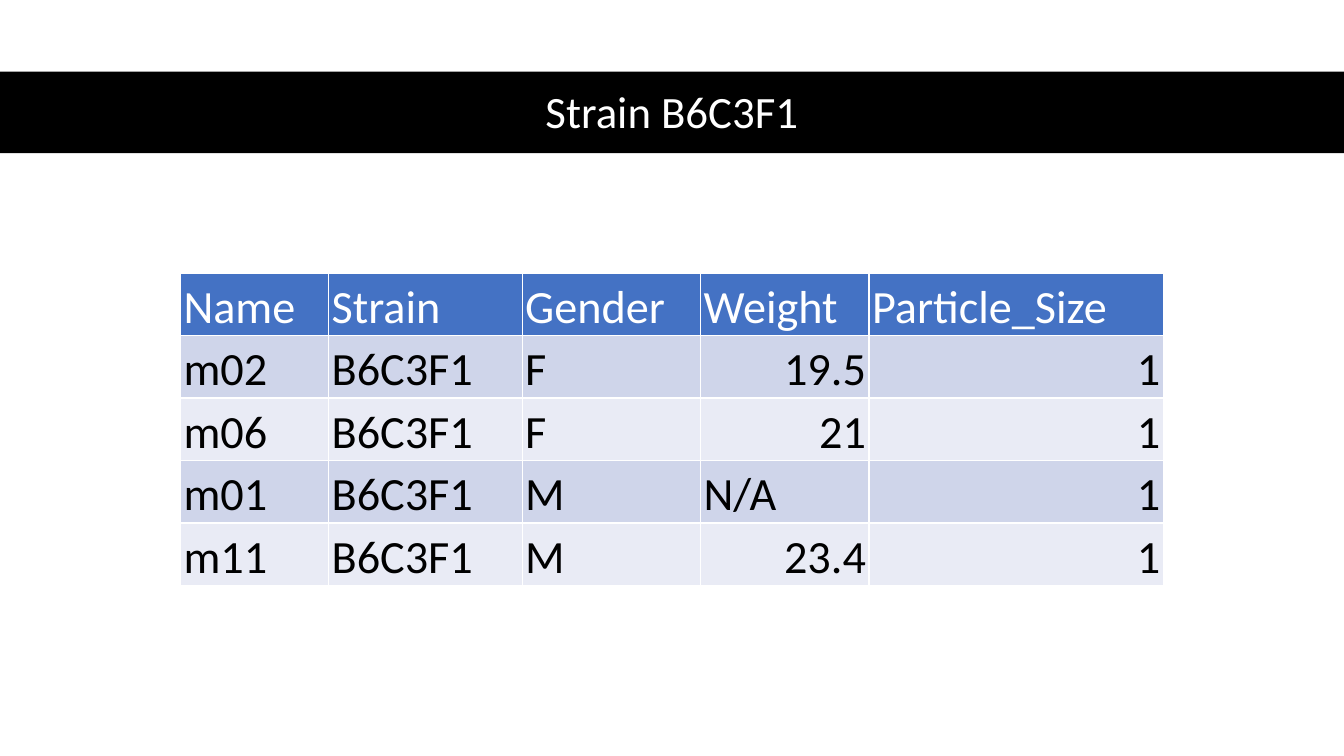
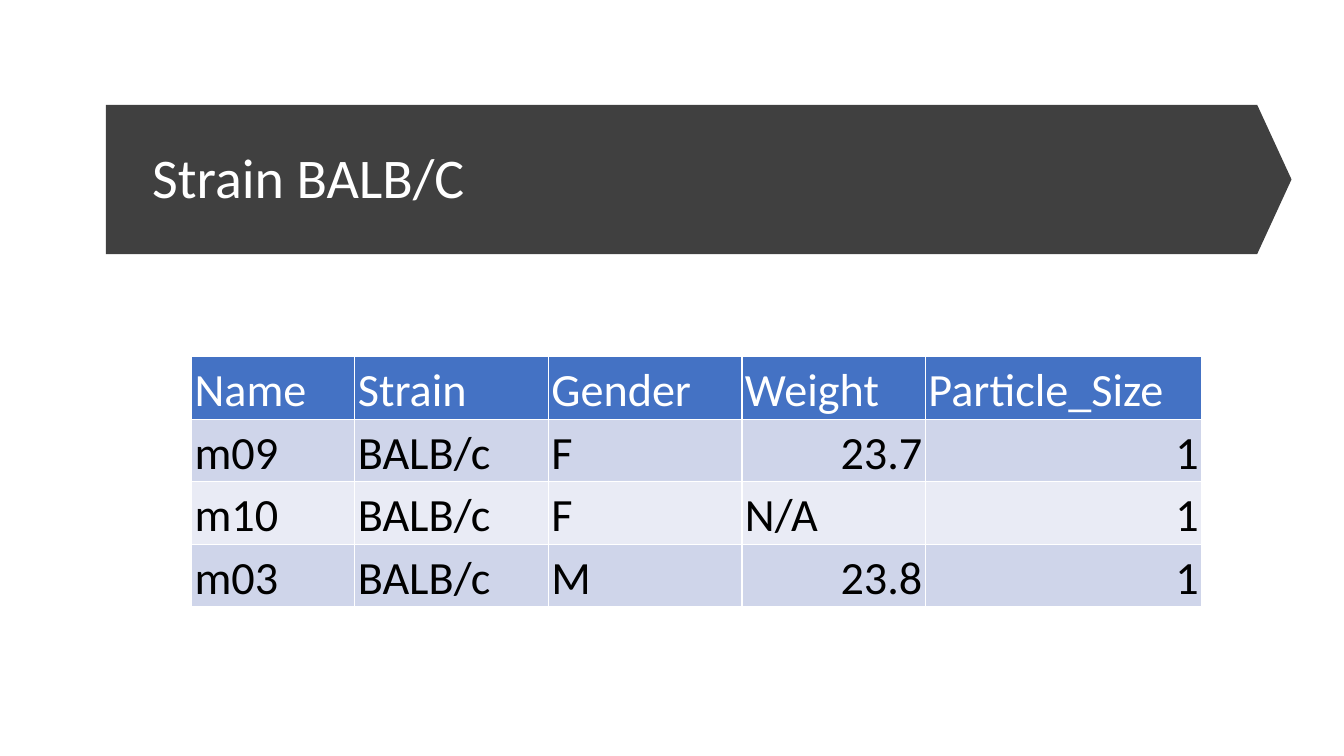
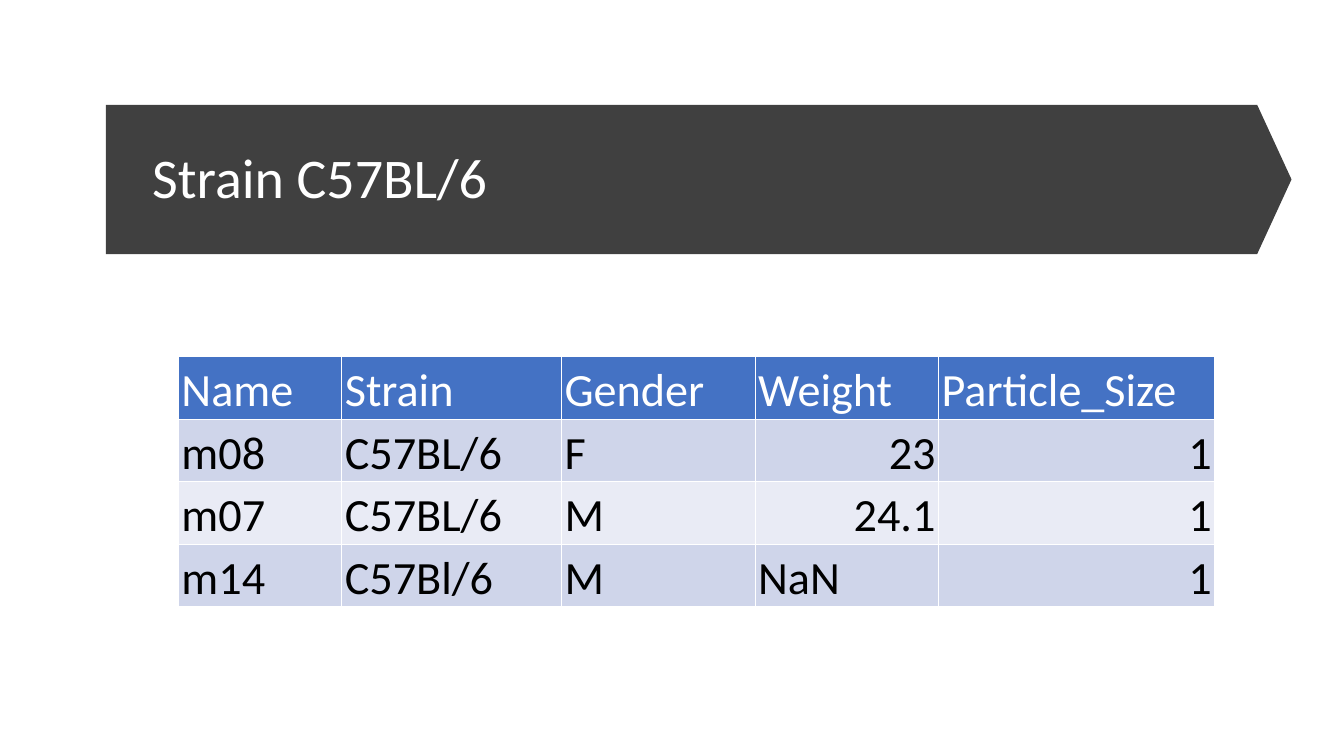
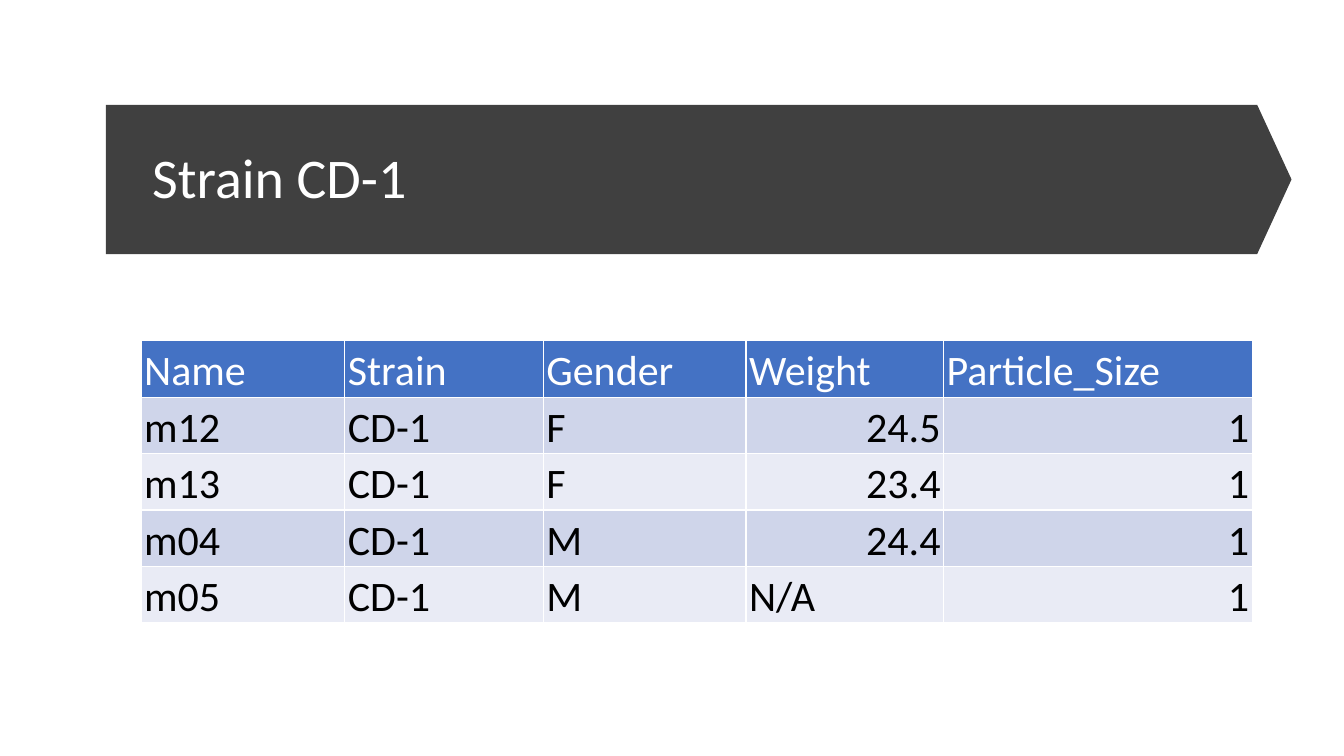
from pptx import Presentation
from pptx.dml.color import RGBColor
from pptx.enum.shapes import MSO_SHAPE
from pptx.enum.text import MSO_ANCHOR, MSO_AUTO_SIZE, PP_ALIGN
from pptx.util import Inches, Pt

WHITE = RGBColor(0xFF, 0xFF, 0xFF)
BLACK = RGBColor(0, 0, 0)
GREY = RGBColor(0x40, 0x40, 0x40)
BLUE = RGBColor(0x44, 0x72, 0xC4)
DARK = RGBColor(0xCF, 0xD5, 0xEA)
LIGHT = RGBColor(0xE9, 0xEB, 0xF5)
FONT = "Calibri"
WIDTH = 13.33
HEAD = ["Name", "Strain", "Gender", "Weight", "Particle_Size"]


def style(para, size, color, align):
    para.alignment = align
    font = para.runs[0].font
    font.name = FONT
    font.size = Pt(size)
    font.bold = False
    font.color.rgb = color


def place(shape, box):
    shape.left, shape.top, shape.width, shape.height = map(Inches, box)


def add_title(slide, text, kind, box, pad, fill, size, align):
    left, top, width, height = box
    west, north, east, south = pad
    band = slide.shapes.add_shape(kind, *map(Inches, box))
    band.shadow.inherit = False
    band.fill.solid()
    band.fill.fore_color.rgb = fill
    band.line.fill.background()
    if kind == MSO_SHAPE.PENTAGON:
        band.adjustments[0] = 0.23
    title = slide.shapes.title
    title.element.addprevious(band.element)
    place(title, (left + west, top + north, width - west - east, height - north - south))
    frame = title.text_frame
    frame.text = text
    frame.word_wrap = True
    frame.auto_size = MSO_AUTO_SIZE.NONE
    frame.vertical_anchor = MSO_ANCHOR.MIDDLE
    para = frame.paragraphs[0]
    para.line_spacing = 0.9
    style(para, size, WHITE, align)


def add_bar(slide, text):
    add_title(slide, text, MSO_SHAPE.RECTANGLE, (0, 0.71, WIDTH, 0.81),
              (0.92, 0.03, 0.92, 0), BLACK, 32, PP_ALIGN.CENTER)


def add_arrow(slide, text):
    add_title(slide, text, MSO_SHAPE.PENTAGON, (1.05, 1.04, 11.76, 1.48),
              (0.36, 0.28, 0.44, 0.26), GREY, 40, PP_ALIGN.LEFT)


def fill_cell(cell, text, size, fill, color):
    cell.fill.solid()
    cell.fill.fore_color.rgb = fill
    cell.margin_left = cell.margin_right = cell.margin_top = Inches(0.03)
    cell.margin_bottom = 0
    cell.vertical_anchor = MSO_ANCHOR.BOTTOM
    cell.text_frame.text = text
    number = text.replace(".", "").isdigit()
    align = PP_ALIGN.RIGHT if number else PP_ALIGN.LEFT
    style(cell.text_frame.paragraphs[0], size, color, align)


def add_grid(slide, center, cols, height, size, body):
    rows = [HEAD] + body
    x, y = center
    wide, tall = sum(cols), height * len(rows)
    box = (x - wide / 2, y - tall / 2, wide, tall)
    table = slide.shapes.add_table(len(rows), len(cols), *map(Inches, box)).table
    for col, width in zip(table.columns, cols):
        col.width = Inches(width)
    for r, row in enumerate(rows):
        table.rows[r].height = Inches(height)
        fill = (DARK if r % 2 else LIGHT) if r else BLUE
        color = BLACK if r else WHITE
        for c, text in enumerate(row):
            fill_cell(table.cell(r, c), text, size, fill, color)


MID = (WIDTH / 2, 4.26)
LOW = (6.91, 4.78)
SLIDES = [
    (add_bar, "Strain B6C3F1", MID, [1.47, 1.92, 1.77, 1.67, 2.92], 0.62, 33, [
        ["m02", "B6C3F1", "F", "19.5", "1"],
        ["m06", "B6C3F1", "F", "21", "1"],
        ["m01", "B6C3F1", "M", "N/A", "1"],
        ["m11", "B6C3F1", "M", "23.4", "1"],
    ]),
    (add_arrow, "Strain BALB/C", LOW, [1.62, 1.92, 1.92, 1.82, 2.74], 0.62, 33, [
        ["m09", "BALB/c", "F", "23.7", "1"],
        ["m10", "BALB/c", "F", "N/A", "1"],
        ["m03", "BALB/c", "M", "23.8", "1"],
    ]),
    (add_arrow, "Strain C57BL/6", LOW, [1.62, 2.18, 1.92, 1.82, 2.74], 0.62, 33, [
        ["m08", "C57BL/6", "F", "23", "1"],
        ["m07", "C57BL/6", "M", "24.1", "1"],
        ["m14", "C57Bl/6", "M", "NaN", "1"],
    ]),
    (add_arrow, "Strain CD-1", LOW, [2.02, 1.97, 2.01, 1.96, 3.06], 0.56, 30, [
        ["m12", "CD-1", "F", "24.5", "1"],
        ["m13", "CD-1", "F", "23.4", "1"],
        ["m04", "CD-1", "M", "24.4", "1"],
        ["m05", "CD-1", "M", "N/A", "1"],
    ]),
]


def main():
    deck = Presentation()
    deck.slide_width = Inches(WIDTH)
    deck.slide_height = Inches(7.5)
    for banner, text, center, cols, height, size, body in SLIDES:
        slide = deck.slides.add_slide(deck.slide_layouts[5])
        banner(slide, text)
        add_grid(slide, center, cols, height, size, body)
    deck.save("out.pptx")


if __name__ == "__main__":
    main()
